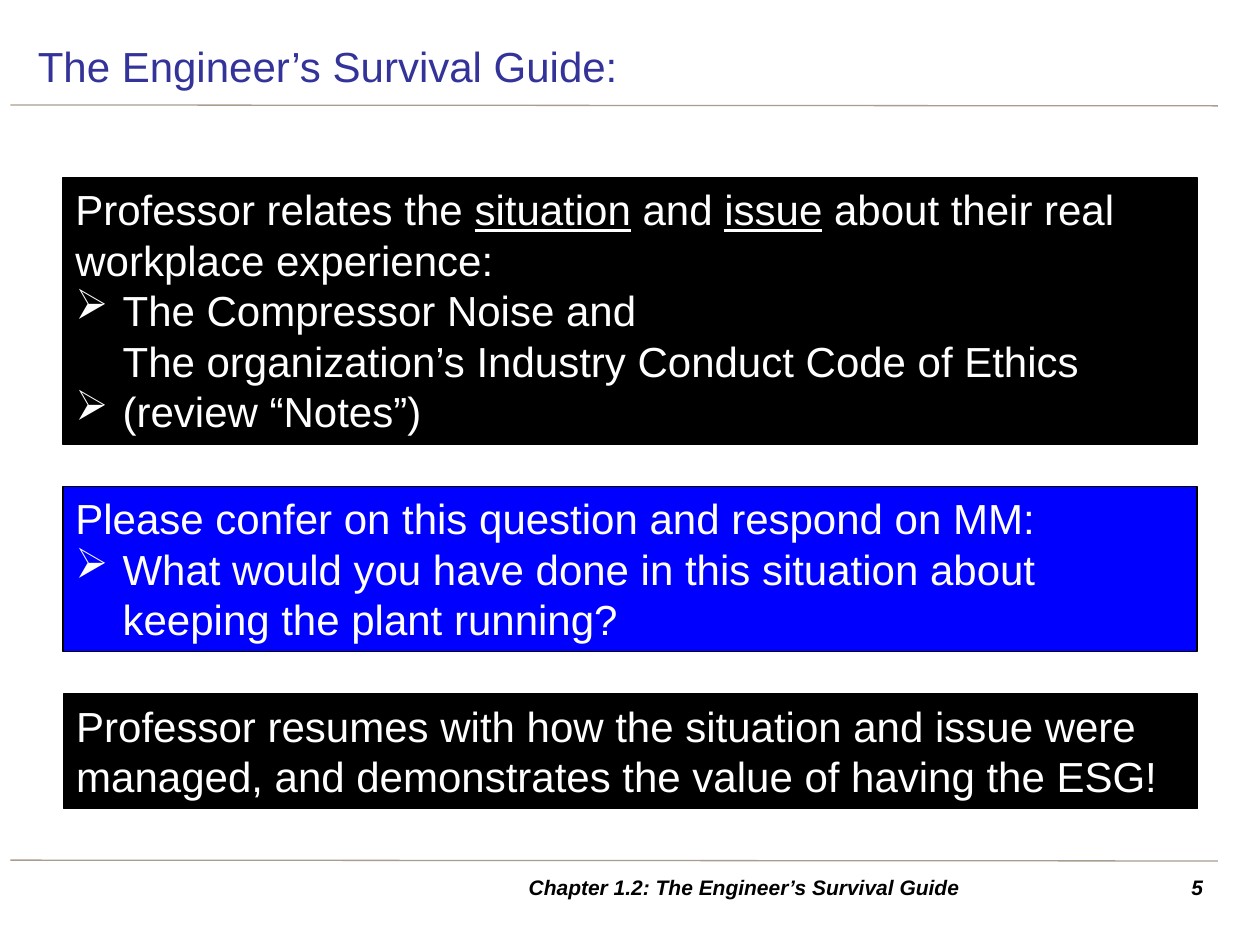
from lxml import etree
from pptx import Presentation
from pptx import util as u
from pptx.dml.color import RGBColor
from pptx.enum import shapes, text
from pptx.oxml.ns import qn

Pt = u.Pt
LEFT, CENTER, RIGHT = text.PP_ALIGN.LEFT, text.PP_ALIGN.CENTER, text.PP_ALIGN.RIGHT
TOP, MIDDLE = text.MSO_ANCHOR.TOP, text.MSO_ANCHOR.MIDDLE
BLACK, WHITE, BLUE, NAVY, TAUPE = "000000", "FFFFFF", "0000FF", "333399", "AA9C8F"
INDENT = 27
BULLET = "➢"


def color(value):
    return RGBColor.from_string(value)


def add_bullet(paragraph):
    properties = paragraph._p.get_or_add_pPr()
    properties.set("marL", str(Pt(INDENT)))
    properties.set("indent", str(-Pt(INDENT)))
    etree.SubElement(properties, qn("a:buChar")).set("char", BULLET)


def write(paragraph, content, size=24, fill=BLACK, bold=False, italic=False, align=LEFT):
    if content.startswith(BULLET):
        add_bullet(paragraph)
        content = content.removeprefix(BULLET)
    paragraph.alignment = align
    for line_number, line in enumerate(content.split("\n")):
        if line_number:
            paragraph.add_line_break()
        for part_number, part in enumerate(line.split("_")):
            run = paragraph.add_run()
            run.text = part
            font = run.font
            font.name, font.size = "Arial", Pt(size)
            font.bold, font.italic = bold, italic
            font.underline = part_number % 2 == 1
            font.color.rgb = color(fill)


def add_label(slide, box, content, anchor=MIDDLE, **style):
    shape = slide.shapes.add_textbox(*map(Pt, box))
    frame = shape.text_frame
    frame.word_wrap = True
    frame.vertical_anchor = anchor
    write(frame.paragraphs[0], content, **style)


def add_rule(slide, left, top, width):
    line = slide.shapes.add_connector(
        shapes.MSO_CONNECTOR.STRAIGHT, Pt(left), Pt(top), Pt(left + width), Pt(top + 0.5)
    )
    line.line.color.rgb = color(TAUPE)
    line.line.width = Pt(0.75)
    etree.SubElement(line._element.spPr, qn("a:effectLst"))


def add_header(slide, left, top, width):
    add_label(slide, (left + 8.5, top, 680, 40), "The Engineer’s Survival Guide:", fill=NAVY)
    add_rule(slide, left, top + 42.5, width)


def add_footer(slide, left, top, width):
    style = dict(size=12, bold=True, italic=True)
    add_rule(slide, left, top, width)
    add_label(slide, (left + 646.5, top + 4.5, 42, 22), "5", anchor=TOP, align=RIGHT, **style)
    add_label(slide, (left + 206.5, top + 4.5, 425.5, 22),
              "Chapter 1.2: The Engineer’s Survival Guide", align=CENTER, **style)


def add_panel(slide, box, fill, contents):
    shape = slide.shapes.add_shape(shapes.MSO_SHAPE.RECTANGLE, *map(Pt, box))
    shape.shadow.inherit = False
    shape.fill.solid()
    shape.fill.fore_color.rgb = color(fill)
    shape.line.color.rgb = color(BLACK)
    shape.line.width = Pt(0.75)
    frame = shape.text_frame
    frame.word_wrap = True
    frame.vertical_anchor = TOP
    frame.auto_size = text.MSO_AUTO_SIZE.SHAPE_TO_FIT_TEXT
    for number, content in enumerate(contents):
        paragraph = frame.add_paragraph() if number else frame.paragraphs[0]
        write(paragraph, content, fill=WHITE)


def add_body(slide, left, top, width):
    panels = [
        (0, 0, 152.5, BLACK, [
            "Professor relates the _situation_ and _issue_ about their real workplace experience:",
            BULLET + "The Compressor Noise and\nThe organization’s Industry Conduct Code of Ethics",
            BULLET + "(review “Notes”)",
        ]),
        (0, 176.5, 94.5, BLUE, [
            "Please confer on this question and respond on MM:",
            BULLET + "What would you have done in this situation about keeping the plant running?",
        ]),
        (0.5, 295, 65.5, BLACK, [
            "Professor resumes with how the situation and issue were managed, "
            "and demonstrates the value of having the ESG!",
        ]),
    ]
    for shift, offset, height, fill, contents in panels:
        add_panel(slide, (left + shift, top + offset, width, height), fill, contents)


def main():
    presentation = Presentation()
    presentation.slide_width, presentation.slide_height = Pt(720), Pt(540)
    slide = presentation.slides.add_slide(presentation.slide_layouts[6])
    add_header(slide, 6, 17.5, 690)
    add_footer(slide, 6, 491.5, 690)
    add_body(slide, 36, 101.5, 648)
    presentation.save("out.pptx")


if __name__ == "__main__":
    main()
